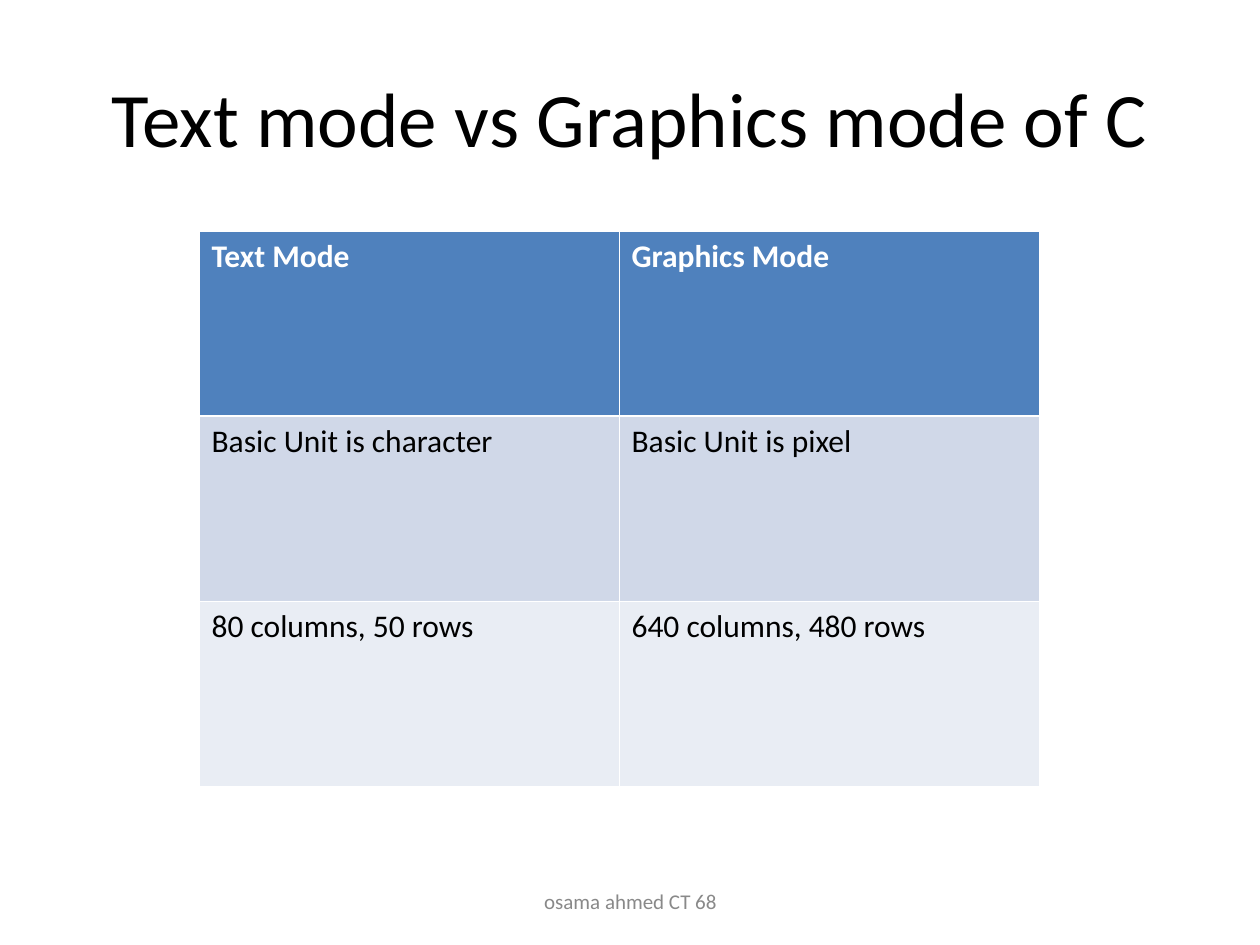
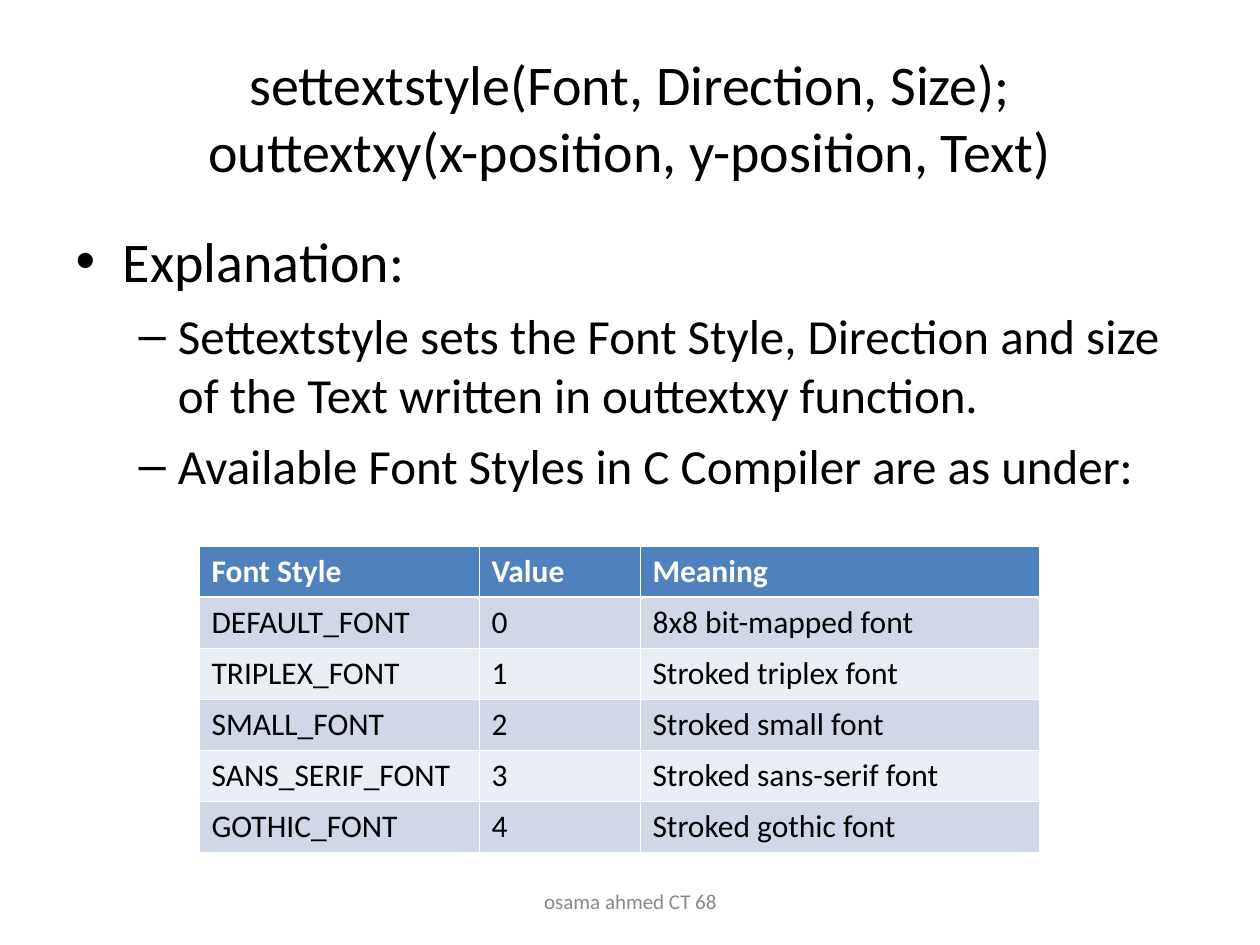
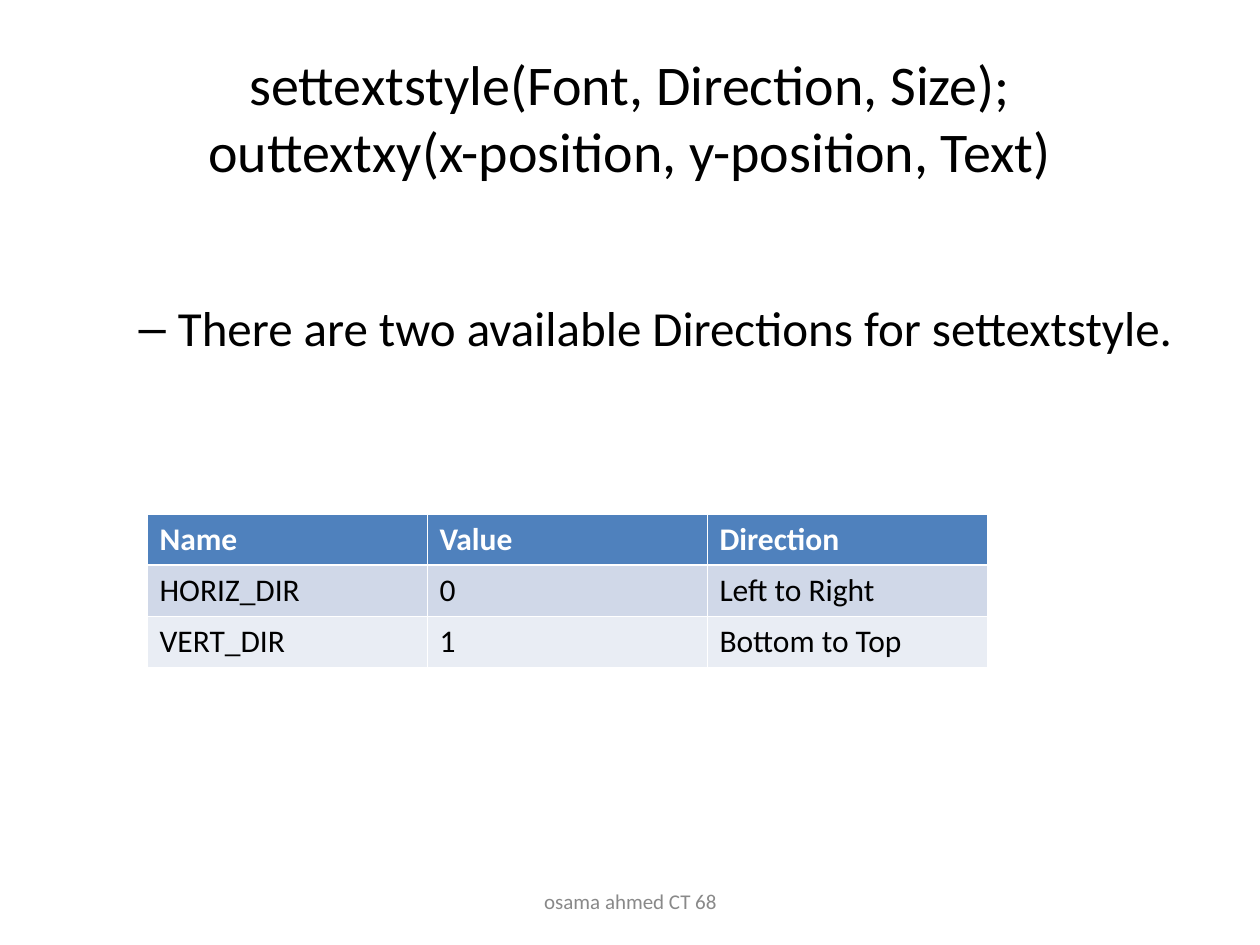
from lxml.etree import SubElement
from pptx import Presentation
from pptx.dml.color import RGBColor
from pptx.enum.text import MSO_ANCHOR, MSO_AUTO_SIZE, PP_ALIGN
from pptx.oxml.ns import qn
from pptx.util import Pt

# Shared look
PX = 914400 / 126
FONT = "Calibri"
BLACK, WHITE, GREY = "000000", "FFFFFF", "898989"
HEADER, BANDS = "4F81BD", ("D0D8E8", "E9EDF4")
THIN, THICK = 0.45, 1.47
TITLE_BOX = (63, 38, 1134, 158)
BODY_BOX = (63, 220, 1134, 624)
FOOTER_BOX = (431, 876, 399, 50)
FOOTER = "osama ahmed CT 68"
LEVELS = ((32, 8), (28, 7))  # size and space before, per list level

# Content
STYLE_TITLE = ("settextstyle(Font, Direction, Size);",
               "outtextxy(x-position, y-position, Text)")
SLIDES = [
    dict(title=("Text mode vs Graphics mode of C",), size=44,
         table=dict(at=(199, 231), cols=(420, 420), row=185, rows=[
             ("Text Mode", "Graphics Mode"),
             ("Basic Unit is character", "Basic Unit is pixel"),
             ("80 columns, 50 rows", "640 columns, 480 rows"),
         ])),
    dict(title=STYLE_TITLE, size=32, inset=6,
         body=[
             (0, "Explanation:"),
             (1, "Settextstyle sets the Font Style, Direction and size "
                 "of the Text written in outtextxy function."),
             (1, "Available Font Styles in C Compiler are as under:"),
         ],
         table=dict(at=(199, 546), cols=(280, 161, 399), row=51, rows=[
             ("Font Style", "Value", "Meaning"),
             ("DEFAULT_FONT", "0", "8x8 bit-mapped font"),
             ("TRIPLEX_FONT", "1", "Stroked triplex font"),
             ("SMALL_FONT", "2", "Stroked small font"),
             ("SANS_SERIF_FONT", "3", "Stroked sans-serif font"),
             ("GOTHIC_FONT", "4", "Stroked gothic font"),
         ])),
    dict(title=STYLE_TITLE, size=32, inset=78,
         body=[(1, "There are two available Directions for settextstyle.")],
         table=dict(at=(147, 514), cols=(280, 280, 280), row=51, rows=[
             ("Name", "Value", "Direction"),
             ("HORIZ_DIR", "0", "Left to Right"),
             ("VERT_DIR", "1", "Bottom to Top"),
         ])),
]


def px(n):
    return round(n * PX)


def rgb(code):
    return RGBColor.from_string(code)


def write(p, *lines, size=18, color=BLACK, bold=False, align=None):
    """Fill a paragraph with one run per line."""
    p.alignment = align
    for i, line in enumerate(lines):
        if i:
            p.add_line_break()
        r = p.add_run()
        r.text = line
        r.font.name, r.font.size, r.font.bold = FONT, Pt(size), bold
        r.font.color.rgb = rgb(color)


def place(sp, box):
    """Move a shape and return its text frame, fixed in size."""
    sp.left, sp.top, sp.width, sp.height = map(px, box)
    tf = sp.text_frame
    tf.word_wrap, tf.auto_size = True, MSO_AUTO_SIZE.NONE
    return tf


def add_body(sp, items, inset):
    tf = place(sp, BODY_BOX)
    tf.margin_top = px(inset)
    for i, (level, text) in enumerate(items):
        p = tf.add_paragraph() if i else tf.paragraphs[0]
        size, before = LEVELS[level]
        p.level, p.space_before = level, Pt(before)
        write(p, text, size=size)


def add_borders(cell, **widths):
    """Draw white cell edges; they must come before the fill."""
    pr = cell._tc.get_or_add_tcPr()
    for side in ("L", "R", "T", "B"):
        ln = SubElement(pr, qn("a:ln" + side), w=str(Pt(widths.get(side, THIN))))
        SubElement(SubElement(ln, qn("a:solidFill")), qn("a:srgbClr"), val=WHITE)


def add_grid(s, at, cols, row, rows):
    box = (*at, sum(cols), row * len(rows))
    table = s.shapes.add_table(len(rows), len(cols), *map(px, box)).table
    for col, width in zip(table.columns, cols):
        col.width = px(width)
    for i, texts in enumerate(rows):
        table.rows[i].height = px(row)
        head = i == 0
        edges = {"B": THICK} if head else {"T": THICK} if i == 1 else {}
        for j, text in enumerate(texts):
            cell = table.cell(i, j)
            add_borders(cell, **edges)
            cell.fill.solid()
            cell.fill.fore_color.rgb = rgb(HEADER if head else BANDS[(i - 1) % 2])
            write(cell.text_frame.paragraphs[0], text,
                  color=WHITE if head else BLACK, bold=head)


def add_footer(s):
    tf = place(s.shapes.add_textbox(0, 0, 0, 0), FOOTER_BOX)
    tf.vertical_anchor = MSO_ANCHOR.MIDDLE
    write(tf.paragraphs[0], FOOTER, size=12, color=GREY, align=PP_ALIGN.CENTER)


def main():
    prs = Presentation()
    prs.slide_width, prs.slide_height = px(1260), px(945)
    for slide in SLIDES:
        body = slide.get("body")
        s = prs.slides.add_slide(prs.slide_layouts[1 if body else 5])
        tf = place(s.shapes.title, TITLE_BOX)
        tf.vertical_anchor = MSO_ANCHOR.MIDDLE
        write(tf.paragraphs[0], *slide["title"], size=slide["size"],
              align=PP_ALIGN.CENTER)
        if body:
            add_body(s.placeholders[1], body, slide["inset"])
        add_footer(s)
        add_grid(s, **slide["table"])
    prs.save("out.pptx")


if __name__ == "__main__":
    main()
